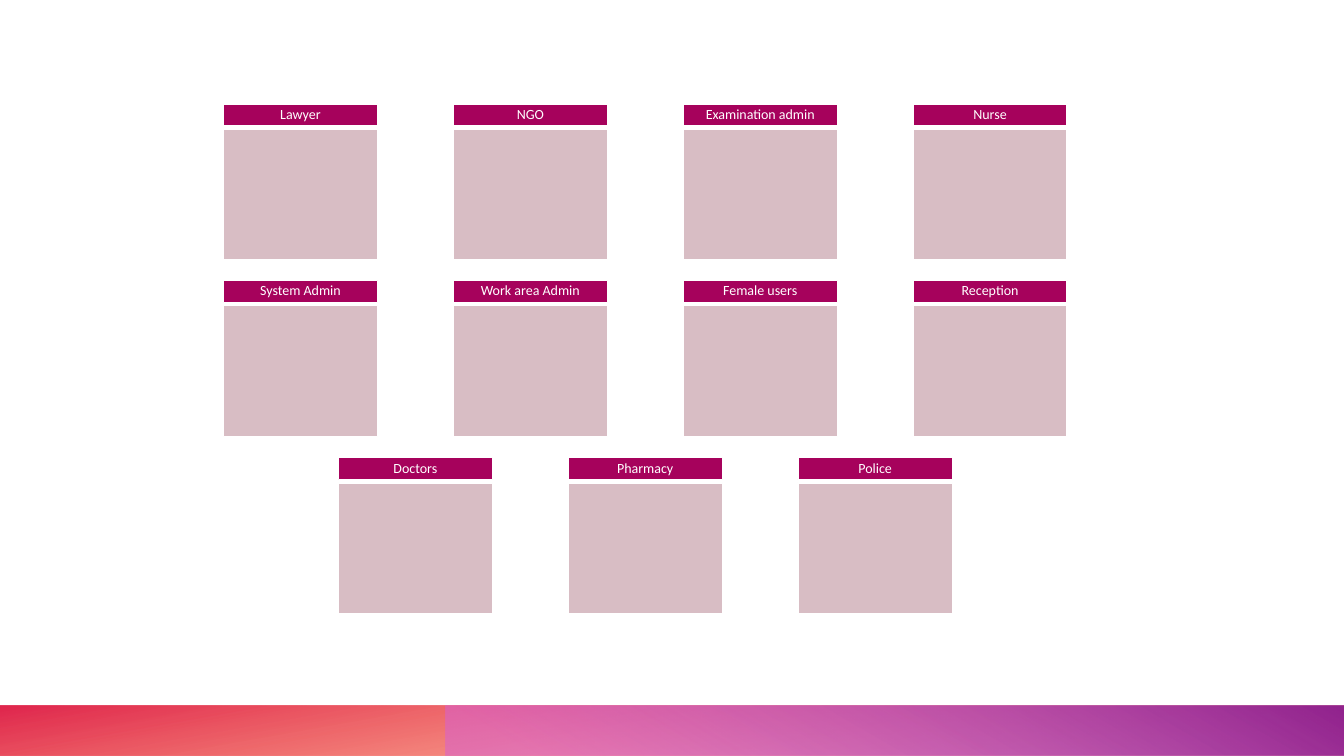
from lxml.etree import SubElement
from pptx import Presentation
from pptx.dml.color import RGBColor
from pptx.enum.shapes import MSO_SHAPE
from pptx.enum.text import MSO_ANCHOR, PP_ALIGN
from pptx.oxml.ns import qn
from pptx.util import Inches, Pt

ROLE_ROWS = [
    (1.03, ["Lawyer", "NGO", "Examination admin", "Nurse"]),
    (2.78, ["System Admin", "Work area Admin", "Female users", "Reception"]),
    (4.54, ["Doctors", "Pharmacy", "Police"]),
]

WHITE = RGBColor(0xFF, 0xFF, 0xFF)
MAGENTA = RGBColor(0xA6, 0x02, 0x5C)
DUSTY_PINK = RGBColor(0xD8, 0xBD, 0xC4)
ORANGE = RGBColor(0xFE, 0x4A, 0x00)
RED = RGBColor(0xDA, 0x00, 0x2F)
ORCHID = RGBColor(0xD8, 0x61, 0xD4)
PURPLE = RGBColor(0x92, 0x24, 0x8E)

FOOTER_BANDS = [
    (0, 13.33, 180, 100, [(0.14, ORANGE, 28), (1, RED, 85)]),
    (4.42, 8.91, 0, 240, [(0.09, ORCHID, 55), (0.99, PURPLE, 100)]),
]
FOOTER_TOP, FOOTER_HEIGHT = 7, 0.5

GRID_CENTER = 6.4
COLUMN_PITCH = 2.28
CARD_WIDTH = 1.53
HEADER_HEIGHT = 0.22
BODY_OFFSET, BODY_HEIGHT = 0.25, 1.3


def add_rectangle(slide, left, top, width, height):
    rectangle = slide.shapes.add_shape(
        MSO_SHAPE.RECTANGLE, Inches(left), Inches(top), Inches(width), Inches(height))
    rectangle.shadow.inherit = False
    return rectangle


def add_footer_band(slide, left, width, rotation, angle, colour_stops):
    band = add_rectangle(slide, left, FOOTER_TOP, width, FOOTER_HEIGHT)
    band.line.fill.background()
    band.rotation = rotation
    band._element.spPr.find(qn("a:xfrm")).set("flipH", "1")
    band.fill.gradient()
    band.fill.gradient_angle = 360 - angle
    for stop, (position, colour, _) in zip(band.fill.gradient_stops, colour_stops):
        stop.position = position
        stop.color.rgb = colour
    colours = band._element.spPr.iter(qn("a:srgbClr"))
    for colour, (_, _, opacity) in zip(list(colours), colour_stops):
        SubElement(colour, qn("a:alpha")).set("val", str(opacity * 1000))


def add_panel(slide, left, top, height, colour):
    panel = add_rectangle(slide, left, top, CARD_WIDTH, height)
    panel.fill.solid()
    panel.fill.fore_color.rgb = colour
    panel.line.color.rgb = WHITE
    panel.line.width = Pt(1)
    return panel


def add_role_card(slide, left, top, role):
    add_panel(slide, left, top + BODY_OFFSET, BODY_HEIGHT, DUSTY_PINK)
    header = add_panel(slide, left, top, HEADER_HEIGHT, MAGENTA)
    frame = header.text_frame
    frame.word_wrap = True
    frame.vertical_anchor = MSO_ANCHOR.MIDDLE
    frame.margin_left = frame.margin_right = Inches(0.04)
    frame.margin_top = frame.margin_bottom = Inches(0.04)
    paragraph = frame.paragraphs[0]
    paragraph.alignment = PP_ALIGN.CENTER
    paragraph.line_spacing = 0.9
    run = paragraph.add_run()
    run.text = role
    run.font.name = "Calibri"
    run.font.size = Pt(10)
    run.font.color.rgb = WHITE


def main():
    presentation = Presentation()
    presentation.slide_width = Inches(13.33)
    presentation.slide_height = Inches(7.5)
    slide = presentation.slides.add_slide(presentation.slide_layouts[6])
    for band in FOOTER_BANDS:
        add_footer_band(slide, *band)
    for top, roles in ROLE_ROWS:
        row_width = (len(roles) - 1) * COLUMN_PITCH + CARD_WIDTH
        for column, role in enumerate(roles):
            left = GRID_CENTER - row_width / 2 + column * COLUMN_PITCH
            add_role_card(slide, left, top, role)
    presentation.save("out.pptx")


if __name__ == "__main__":
    main()
